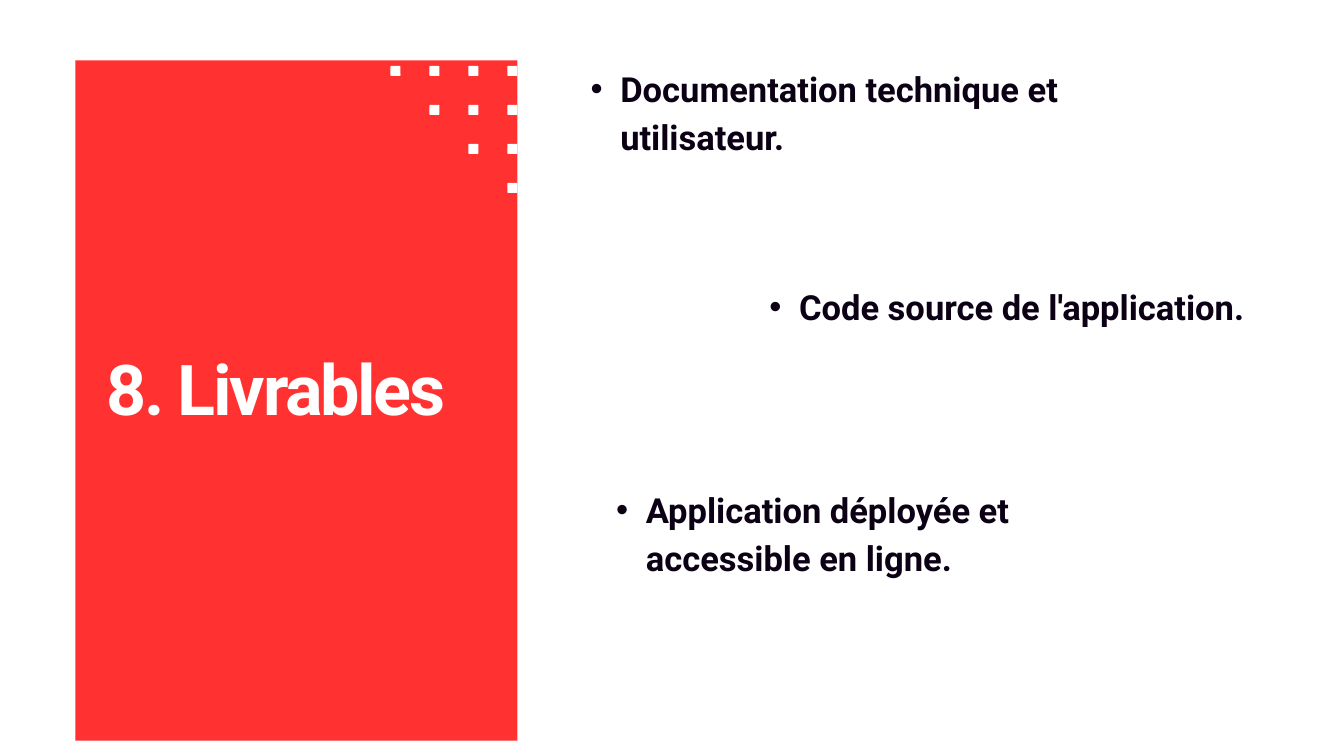
from typing import NamedTuple

from lxml.etree import SubElement
from pptx import Presentation
from pptx.dml.color import RGBColor
from pptx.enum.shapes import MSO_SHAPE
from pptx.enum.text import MSO_AUTO_SIZE
from pptx.oxml.ns import qn
from pptx.shapes.autoshape import Shape
from pptx.slide import Slide
from pptx.text.text import _Paragraph as Paragraph
from pptx.util import Inches, Pt

RED = RGBColor(0xFF, 0x31, 0x31)
WHITE = RGBColor(0xFF, 0xFF, 0xFF)
INK = RGBColor(0x0C, 0x00, 0x15)

FONT = "Roboto"
DOT_ROWS = 4
DOT_SIZE = 0.15
DOT_PITCH = 0.58
DOT_LEFT, DOT_TOP = 5.81, 0.98


class Box(NamedTuple):
    left: float
    top: float
    width: float
    height: float


class TextStyle(NamedTuple):
    size: float
    line_spacing: float
    color: RGBColor


class Deliverable(NamedTuple):
    text: str
    box: Box


PANEL = Box(1.12, 0.9, 6.58, 10.12)
TITLE_BOX = Box(1.59, 4.93, 7.72, 2.98)
TITLE_STYLE = TextStyle(75.1, 105.2, WHITE)
ITEM_STYLE = TextStyle(37, 51.8, INK)

DELIVERABLES = [
    Deliverable("Documentation technique et utilisateur.", Box(8.36, 0.91, 8.25, 2.25)),
    Deliverable("Code source de l'application.", Box(11.02, 4.15, 8.25, 1.47)),
    Deliverable("Application déployée et accessible en ligne.", Box(8.74, 7.17, 8.25, 2.25)),
]


def add_filled_shape(slide: Slide, kind: MSO_SHAPE, box: Box, color: RGBColor) -> Shape:
    shape = slide.shapes.add_shape(kind, *map(Inches, box))
    shape.shadow.inherit = False
    shape.fill.solid()
    shape.fill.fore_color.rgb = color
    shape.line.fill.background()
    return shape


def add_dot_triangle(slide: Slide) -> None:
    """Draw rows of dots that lose one dot on the left each time."""
    for row in range(DOT_ROWS):
        for column in range(row, DOT_ROWS):
            box = Box(DOT_LEFT + column * DOT_PITCH, DOT_TOP + row * DOT_PITCH,
                      DOT_SIZE, DOT_SIZE)
            dot = add_filled_shape(slide, MSO_SHAPE.ROUNDED_RECTANGLE, box, WHITE)
            dot.adjustments[0] = 0.1


def add_text(slide: Slide, text: str, box: Box, style: TextStyle) -> Paragraph:
    frame = slide.shapes.add_textbox(*map(Inches, box)).text_frame
    frame.word_wrap = True
    frame.auto_size = MSO_AUTO_SIZE.SHAPE_TO_FIT_TEXT
    frame.margin_left = frame.margin_right = 0
    frame.margin_top = frame.margin_bottom = 0
    paragraph = frame.paragraphs[0]
    paragraph.text = text
    paragraph.line_spacing = Pt(style.line_spacing)
    font = paragraph.runs[0].font
    font.name = FONT
    font.size = Pt(style.size)
    font.bold = True
    font.color.rgb = style.color
    return paragraph


def add_bullet(paragraph: Paragraph) -> None:
    paragraph.level = 1
    properties = paragraph._p.get_or_add_pPr()
    properties.set("marL", str(Inches(0.87)))
    properties.set("indent", str(Inches(-0.44)))
    SubElement(properties, qn("a:buFont")).set("typeface", "Arial")
    SubElement(properties, qn("a:buChar")).set("char", "•")


def main() -> None:
    presentation = Presentation()
    presentation.slide_width = Inches(20)
    presentation.slide_height = Inches(11.25)
    slide = presentation.slides.add_slide(presentation.slide_layouts[6])

    add_filled_shape(slide, MSO_SHAPE.RECTANGLE, PANEL, RED)
    add_dot_triangle(slide)

    title = add_text(slide, "8. Livrables", TITLE_BOX, TITLE_STYLE)
    title.runs[0].font._element.set("spc", "-250")

    for deliverable in DELIVERABLES:
        add_bullet(add_text(slide, deliverable.text, deliverable.box, ITEM_STYLE))

    presentation.save("out.pptx")


if __name__ == "__main__":
    main()
